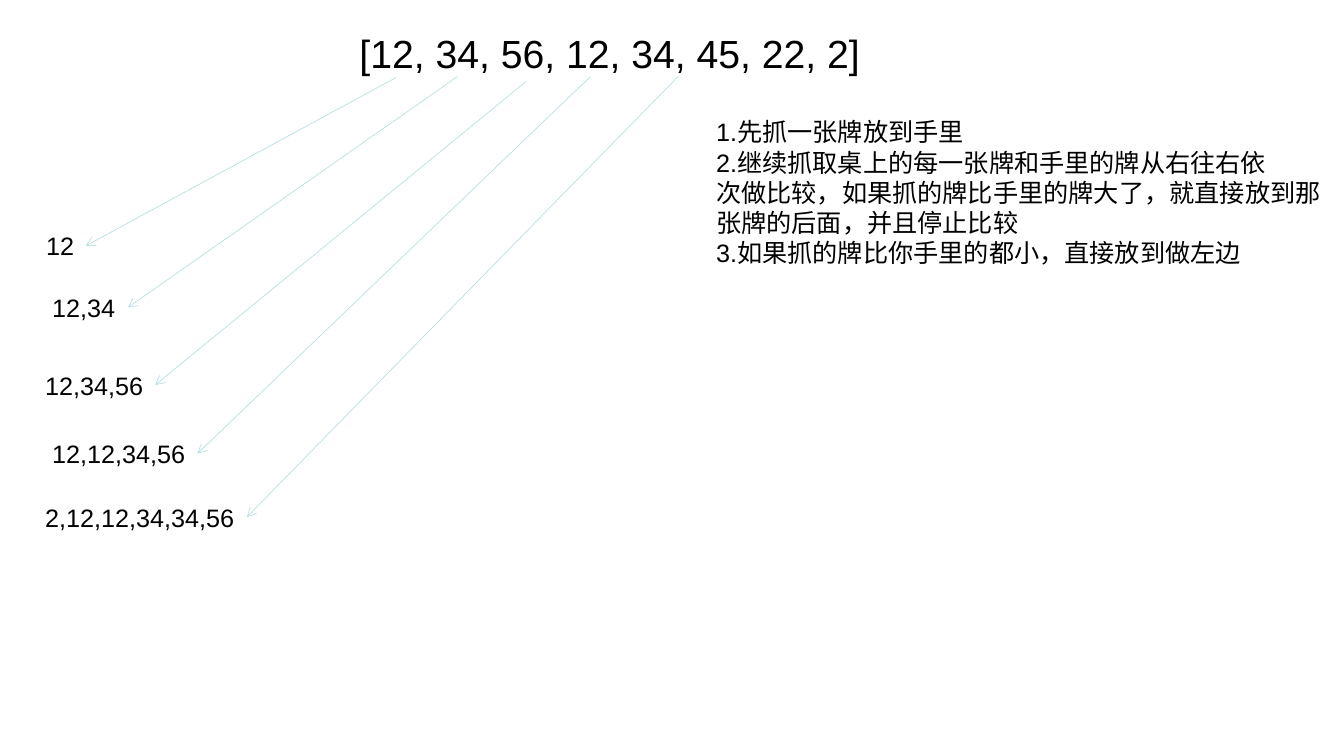
from lxml import etree
from pptx import Presentation
from pptx.dml.color import RGBColor
from pptx.enum.shapes import MSO_CONNECTOR
from pptx.enum.text import MSO_AUTO_SIZE
from pptx.oxml.ns import qn
from pptx.util import Inches, Pt

STRAIGHT = MSO_CONNECTOR.STRAIGHT
FIT_SHAPE = MSO_AUTO_SIZE.SHAPE_TO_FIT_TEXT
RIGHT_SIDE = 3
FONT = "Arial"
BLACK = "000000"
ARROW = "BBE0E3"

# Hand after each draw: text, box left, top, width, arrow start x, y
HANDS = [
    ("12", 0.36, 2.24, 0.49, 3.93, 0.77),
    ("12,34", 0.42, 2.85, 0.85, 4.54, 0.76),
    ("12,34,56", 0.35, 3.62, 1.19, 5.22, 0.81),
    ("12,12,34,56", 0.42, 4.3, 1.54, 5.86, 0.76),
    ("2,12,12,34,34,56", 0.35, 4.93, 2.1, 6.73, 0.76),
]

STEPS = [
    "1.先抓一张牌放到手里",
    "2.继续抓取桌上的每一张牌和手里的牌从右往右依",
    "次做比较，如果抓的牌比手里的牌大了，就直接放到那",
    "张牌的后面，并且停止比较",
    "3.如果抓的牌比你手里的都小，直接放到做左边",
]


def rgb(value):
    return RGBColor.from_string(value)


def add_text(s, lines, left, top, width, height, size=18):
    box = s.shapes.add_textbox(Inches(left), Inches(top), Inches(width), Inches(height))
    tf = box.text_frame
    tf.word_wrap = False
    tf.auto_size = FIT_SHAPE
    font_format = {"name": FONT, "size": Pt(size)}
    for i, line in enumerate(lines):
        p = tf.paragraphs[0] if i == 0 else tf.add_paragraph()
        r = p.add_run()
        r.text = line
        for name, value in font_format.items():
            setattr(r.font, name, value)
        r.font.color.rgb = rgb(BLACK)
    return box


def add_arrow(s, x, y, target):
    """Draw an arrow from a point to the right side of the target box."""
    line = s.shapes.add_connector(STRAIGHT, Inches(x), Inches(y), Inches(x), Inches(y))
    line.end_connect(target, RIGHT_SIDE)
    line.line.color.rgb = rgb(ARROW)
    line.line.width = Pt(0.5)
    etree.SubElement(line.line._get_or_add_ln(), qn("a:tailEnd"), type="arrow")
    etree.SubElement(line._element.spPr, qn("a:effectLst"))


def main():
    prs = Presentation()
    prs.slide_width = Inches(13.34)
    prs.slide_height = Inches(7.5)
    s = prs.slides.add_slide(prs.slide_layouts[6])

    # Cards on the table
    add_text(s, ["[12, 34, 56, 12, 34, 45, 22, 2]"], 3.47, 0.24, 5.2, 0.57, size=28)

    # Cards in hand, each with the arrow of the drawn card
    for text, left, top, width, x, y in HANDS:
        hand = add_text(s, [text], left, top, width, 0.4)
        add_arrow(s, x, y, hand)

    # Steps of the method
    add_text(s, STEPS, 7.01, 1.11, 6.2, 1.6)

    prs.save("out.pptx")


if __name__ == "__main__":
    main()
